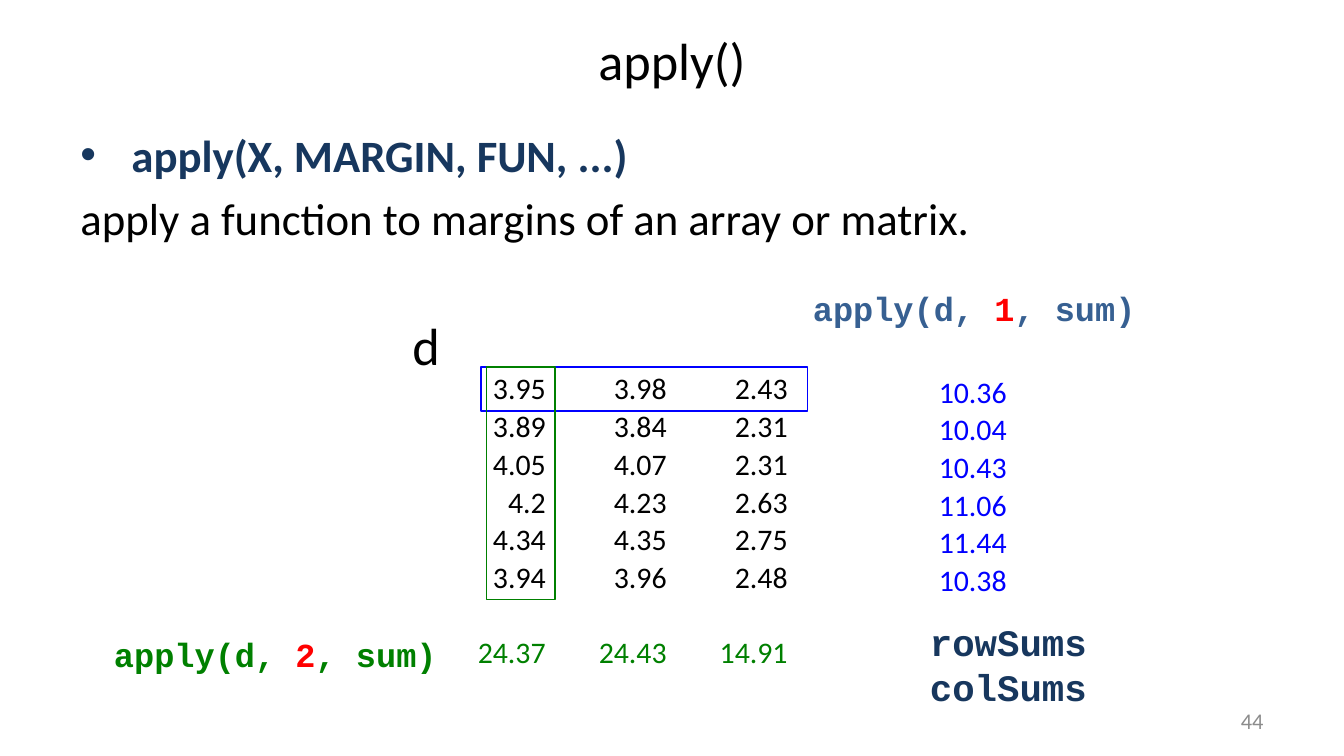
from lxml import etree
from pptx import Presentation
from pptx.dml.color import RGBColor
from pptx.enum.shapes import MSO_SHAPE
from pptx.enum.text import MSO_ANCHOR, MSO_AUTO_SIZE, PP_ALIGN
from pptx.oxml.ns import qn
from pptx.util import Inches, Pt

RECTANGLE = MSO_SHAPE.RECTANGLE
MIDDLE, BOTTOM = MSO_ANCHOR.MIDDLE, MSO_ANCHOR.BOTTOM
CENTER, RIGHT = PP_ALIGN.CENTER, PP_ALIGN.RIGHT
FIT_SHAPE, NO_FIT = MSO_AUTO_SIZE.SHAPE_TO_FIT_TEXT, MSO_AUTO_SIZE.NONE

SANS, MONO = "Calibri", "Courier New"
BLACK, NAVY, STEEL = "000000", "17375E", "376092"
BLUE, GREEN, RED, GRAY = "0000FF", "008000", "FF0000", "8C8C8C"

COLUMN_WIDTH = 0.9
MATRIX = [
    ("3.95", "3.98", "2.43"),
    ("3.89", "3.84", "2.31"),
    ("4.05", "4.07", "2.31"),
    ("4.2", "4.23", "2.63"),
    ("4.34", "4.35", "2.75"),
    ("3.94", "3.96", "2.48"),
]
ROW_SUMS = [("10.36",), ("10.04",), ("10.43",), ("11.06",), ("11.44",), ("10.38",)]
COLUMN_SUMS = [("24.37", "24.43", "14.91")]


def rgb(color):
    return RGBColor.from_string(color)


def set_font(font, name, size, color, bold=False):
    font.name = name
    font.size = Pt(size)
    font.bold = bold
    font.color.rgb = rgb(color)


def add_bullet(paragraph, indent):
    properties = paragraph._p.get_or_add_pPr()
    properties.set("marL", str(Inches(indent)))
    properties.set("indent", str(-Inches(indent)))
    etree.SubElement(properties, qn("a:buFont")).set("typeface", "Arial")
    etree.SubElement(properties, qn("a:buChar")).set("char", "•")


def add_text(slide, box, lines, name, size, color, bold=False, wrap=False):
    """Add a text box with one paragraph for each line."""
    shape = slide.shapes.add_textbox(*map(Inches, box))
    frame = shape.text_frame
    frame.word_wrap = wrap
    frame.auto_size = NO_FIT if wrap else FIT_SHAPE
    frame.text = "\n".join(lines)
    for paragraph in frame.paragraphs:
        set_font(paragraph.font, name, size, color, bold)
    return frame


def add_call(slide, box, margin, color):
    """Add a call of apply() with its margin argument in red."""
    frame = add_text(slide, box, [""], MONO, 18, color, bold=True)
    paragraph = frame.paragraphs[0]
    for text in ("apply(d, ", margin, ", sum)"):
        run = paragraph.add_run()
        run.text = text
        if text == margin:
            run.font.color.rgb = rgb(RED)


def add_numbers(slide, left, top, row_height, rows, color):
    """Add a plain table of right-aligned numbers."""
    row_count, column_count = len(rows), len(rows[0])
    table = slide.shapes.add_table(
        row_count, column_count, Inches(left), Inches(top),
        Inches(COLUMN_WIDTH * column_count), Inches(row_height * row_count),
    ).table
    table.first_row = table.horz_banding = False
    for row_index, values in enumerate(rows):
        for column_index, value in enumerate(values):
            cell = table.cell(row_index, column_index)
            cell.fill.background()
            cell.margin_left = cell.margin_right = cell.margin_top = Inches(0.01)
            cell.margin_bottom = 0
            cell.vertical_anchor = BOTTOM
            cell.text = value
            paragraph = cell.text_frame.paragraphs[0]
            paragraph.alignment = RIGHT
            set_font(paragraph.font, SANS, 16, color)


def add_outline(slide, box, color):
    shape = slide.shapes.add_shape(RECTANGLE, *map(Inches, box))
    shape.shadow.inherit = False
    shape.fill.background()
    shape.line.color.rgb = rgb(color)
    shape.line.width = Pt(0.75)


def add_title(slide, text):
    title = slide.shapes.title
    title.left, title.top = Inches(0.5), Inches(0.13)
    title.width, title.height = Inches(9), Inches(0.63)
    title.text = text
    title.text_frame.vertical_anchor = MIDDLE
    paragraph = title.text_frame.paragraphs[0]
    paragraph.alignment = CENTER
    set_font(paragraph.font, SANS, 28, BLACK)


def add_description(slide):
    lines = ["apply(X, MARGIN, FUN, ...)",
             "apply a function to margins of an array or matrix."]
    frame = add_text(slide, (0.5, 0.9, 9, 1.1), lines, SANS, 24, BLACK, wrap=True)
    usage, meaning = frame.paragraphs
    add_bullet(usage, 0.38)
    set_font(usage.font, SANS, 24, NAVY, bold=True)
    meaning.space_before = Pt(4.8)


def main():
    presentation = Presentation()
    # Widescreen, 16:9
    presentation.slide_width = Inches(10)
    presentation.slide_height = presentation.slide_width * 9 // 16
    slide = presentation.slides.add_slide(presentation.slide_layouts[5])

    # Title and description
    add_title(slide, "apply()")
    add_description(slide)

    # Matrix with its row sums and column sums
    add_numbers(slide, 3.17, 2.75, 0.28, MATRIX, BLACK)
    add_text(slide, (2.97, 2.28, 0.41, 0.57), ["d"], SANS, 28, BLACK)
    add_call(slide, (5.95, 2.09, 2.63, 0.4), "1", STEEL)
    add_numbers(slide, 3.17, 4.69, 0.31, COLUMN_SUMS, GREEN)
    add_numbers(slide, 6.6, 2.78, 0.28, ROW_SUMS, BLUE)

    # Outlines of the first row and the first column
    add_outline(slide, (3.58, 2.73, 2.43, 0.33), BLUE)
    add_outline(slide, (3.62, 2.73, 0.51, 1.73), GREEN)

    # Column call and shortcut functions
    add_call(slide, (0.75, 4.67, 2.63, 0.4), "2", GREEN)
    add_text(slide, (6.82, 4.56, 1.38, 0.77), ["rowSums", "colSums"],
             MONO, 20, NAVY, bold=True)

    # Slide number
    number = add_text(slide, (7.17, 5.21, 2.33, 0.3), ["44"], SANS, 12, GRAY, wrap=True)
    number.vertical_anchor = MIDDLE
    number.paragraphs[0].alignment = RIGHT

    presentation.save("out.pptx")


if __name__ == "__main__":
    main()
